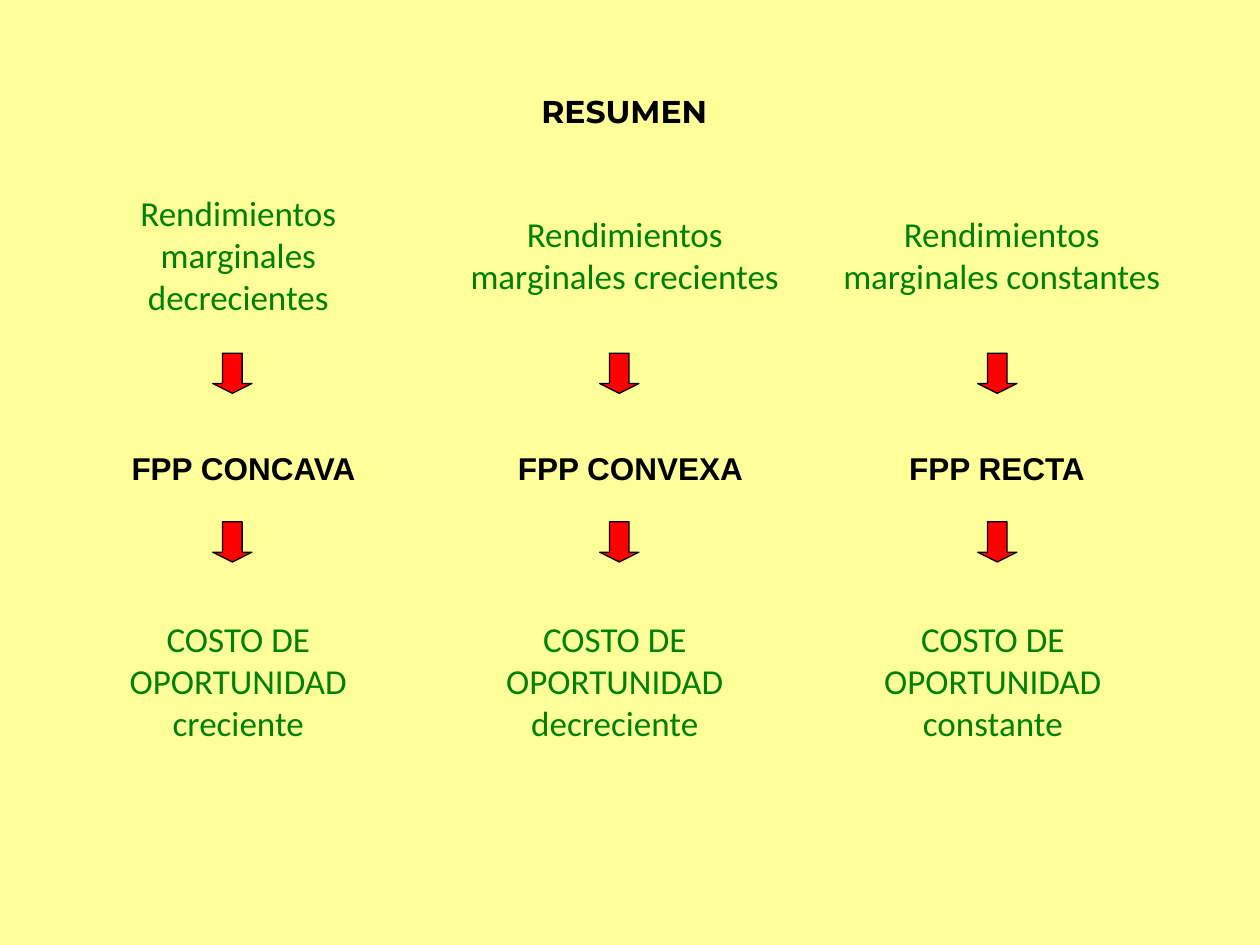
from dataclasses import dataclass

from pptx import Presentation
from pptx import util as u
from pptx.dml.color import RGBColor
from pptx.enum import shapes, text


@dataclass(frozen=True)
class Theme:
    background: RGBColor = RGBColor(0xFF, 0xFF, 0x99)
    green: RGBColor = RGBColor(0x00, 0x80, 0x00)
    black: RGBColor = RGBColor(0x00, 0x00, 0x00)
    red: RGBColor = RGBColor(0xFF, 0x00, 0x00)
    body: u.Pt = u.Pt(20)
    heading: u.Pt = u.Pt(18)


theme = Theme()


def add_text(s, content, x, y, w, h, font, size, color):
    sp = s.shapes.add_textbox(u.Cm(x), u.Cm(y), u.Cm(w), u.Cm(h))
    tf = sp.text_frame
    tf.word_wrap = True
    p = tf.paragraphs[0]
    p.alignment = text.PP_ALIGN.CENTER
    r = p.add_run()
    r.text = content
    r.font.name = font
    r.font.size = size
    r.font.color.rgb = color
    return tf


def add_heading(s, content, x, y, w, font):
    tf = add_text(s, content, x, y, w, 1.02, font, theme.heading, theme.black)
    tf.auto_size = text.MSO_AUTO_SIZE.SHAPE_TO_FIT_TEXT
    p = tf.paragraphs[0]
    p.space_before = u.Pt(11.2)
    p.runs[0].font.bold = True


prs = Presentation()
prs.slide_width, prs.slide_height = u.Cm(25.4), u.Cm(19.05)
s = prs.slides.add_slide(prs.slide_layouts[6])
s.background.fill.solid()
s.background.fill.fore_color.rgb = theme.background

add_heading(s, "RESUMEN", 8.89, 1.73, 7.39, "Montserrat")

columns = [
    ("decrecientes", "CONCAVA", "creciente", 1.3, 2.11, 1.3, 4.29),
    ("crecientes", "CONVEXA", "decreciente", 9.09, 9.91, 8.89, 12.09),
    ("constantes", "RECTA", "constante", 16.69, 17.3, 16.51, 19.71),
]
for returns, curve, cost, returns_x, curve_x, cost_x, arrow_x in columns:
    add_heading(s, f"FPP {curve}", curve_x, 8.92, 5.6, "Arial")
    for content, x, y in (
        (f"Rendimientos marginales {returns}", returns_x, 3.53),
        (f"COSTO DE OPORTUNIDAD {cost}", cost_x, 12.12),
    ):
        tf = add_text(s, content, x, y, 7.01, 3.2, "Calibri", theme.body, theme.green)
        tf.vertical_anchor = text.MSO_ANCHOR.MIDDLE
    for arrow_y in (7.12, 10.52):
        sp = s.shapes.add_shape(
            shapes.MSO_SHAPE.DOWN_ARROW,
            u.Cm(arrow_x), u.Cm(arrow_y), u.Cm(0.79), u.Cm(0.81),
        )
        sp.adjustments[0] = 0.5
        sp.adjustments[1] = 0.25
        sp.shadow.inherit = False
        sp.fill.solid()
        sp.fill.fore_color.rgb = theme.red
        sp.line.color.rgb = theme.black
        sp.line.width = u.Pt(0.75)

prs.save("out.pptx")
